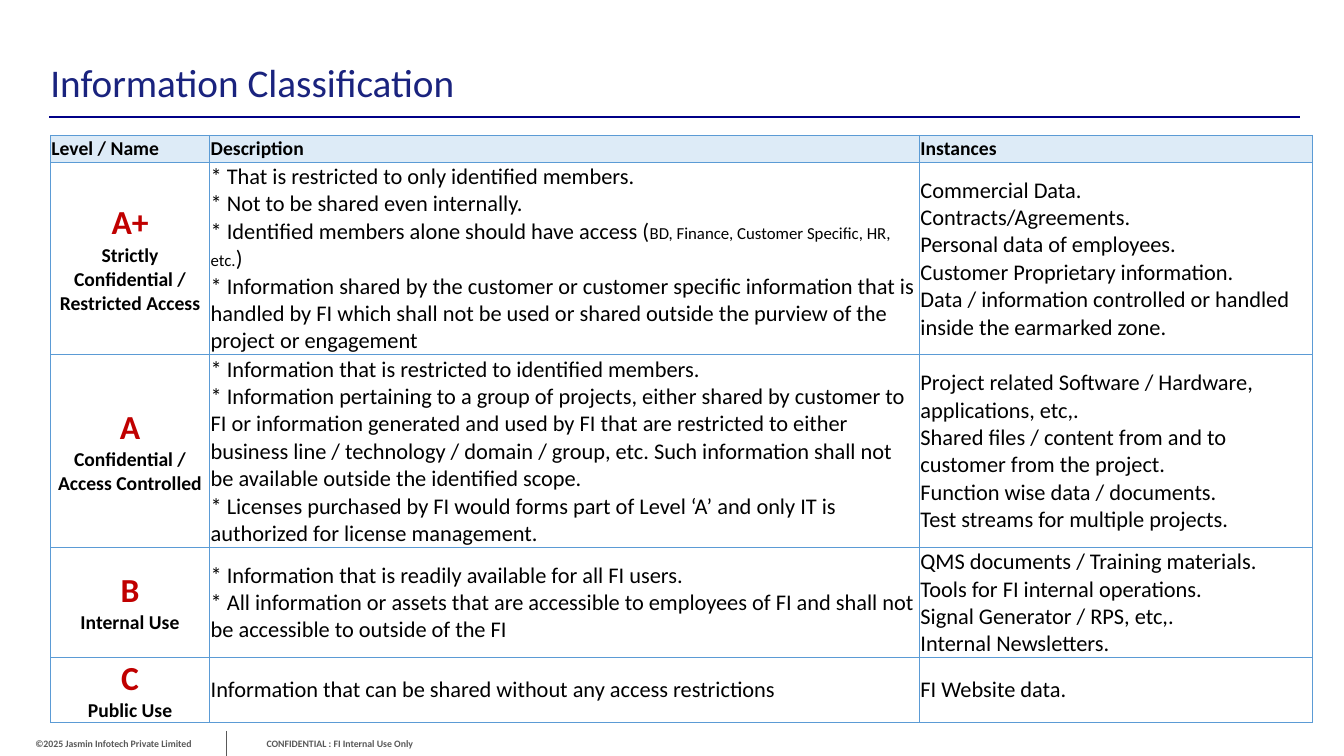
from lxml.etree import SubElement as sub
from pptx import Presentation
from pptx.dml.color import RGBColor
from pptx.enum.shapes import MSO_CONNECTOR as Conn
from pptx.enum.text import MSO_ANCHOR as Anchor, PP_ALIGN as Align
from pptx.oxml.ns import qn
from pptx.util import Pt

PX = 9144  # 100 px to the inch

BLACK = RGBColor(0x00, 0x00, 0x00)
RED = RGBColor(0xC0, 0x00, 0x00)
GREY = RGBColor(0x59, 0x59, 0x59)
NAVY = RGBColor(0x00, 0x00, 0x87)
INDIGO = RGBColor(0x1A, 0x23, 0x7E)
PALE = RGBColor(0xDD, 0xEB, 0xF7)
BLUE = RGBColor(0x5B, 0x9B, 0xD5)

# Text formats
TITLE = {"size": 28, "color": INDIGO}
FOOT = {"size": 7, "color": GREY, "bold": True}
HEAD = {"size": 14, "color": BLACK, "bold": True}
LEVEL = {"size": 24, "color": RED, "bold": True}
BODY = {"size": 16, "color": BLACK}
SMALL = {"size": 12, "color": BLACK}

# Table content
COLS = [158, 704, 390]
HEIGHTS = [27, 191, 191, 109, 55]
HEADS = ["Level / Name", "Description", "Instances"]
LEVELS = [
    ("A+", "Strictly Confidential / Restricted Access", [
        "* That is restricted to only identified members.",
        "* Not to be shared even internally.",
        [("* Identified members alone should have access (", BODY),
         ("BD, Finance, Customer Specific, HR, etc.", SMALL),
         (")", BODY)],
        "* Information shared by the customer or customer specific "
        "information that is handled by FI which shall not be used or shared "
        "outside the purview of the project or engagement",
    ], [
        "Commercial Data.",
        "Contracts/Agreements.",
        "Personal data of employees.",
        "Customer Proprietary information.",
        "Data / information controlled or handled inside the earmarked zone.",
    ]),
    ("A", "Confidential / Access Controlled", [
        "* Information that is restricted to identified members.",
        "* Information pertaining to a group of projects, either shared by "
        "customer to FI or information generated and used by FI that are "
        "restricted to either business line / technology / domain / group, "
        "etc. Such information shall not be available outside the identified "
        "scope.",
        "* Licenses purchased by FI would forms part of Level ‘A’ and only IT "
        "is authorized for license management.",
    ], [
        "Project related Software / Hardware, applications, etc,.",
        "Shared files / content from and to customer from the project.",
        "Function wise data / documents.",
        "Test streams for multiple projects.",
    ]),
    ("B", "Internal Use", [
        "* Information that is readily available for all FI users.",
        "* All information or assets that are accessible to employees of FI "
        "and shall not be accessible to outside of the FI",
    ], [
        "QMS documents / Training materials.",
        "Tools for FI internal operations.",
        "Signal Generator / RPS, etc,.",
        "Internal Newsletters.",
    ]),
    ("C", "Public Use",
     ["Information that can be shared without any access restrictions"],
     ["FI Website data."]),
]


def style(font, form):
    font.name = "Calibri"
    for key, val in form.items():
        if key == "color":
            font.color.rgb = val
        else:
            setattr(font, key, Pt(val) if key == "size" else val)


def write(frame, lines, align=Align.LEFT):
    """Write one paragraph per line; a line is a list of (text, format)."""
    for i, line in enumerate(lines):
        para = frame.add_paragraph() if i else frame.paragraphs[0]
        para.alignment = align
        for text, form in line:
            run = para.add_run()
            run.text = text
            style(run.font, form)


def add_text(slide, box, text, form, align=Align.LEFT, pad=(0, 0)):
    frame = slide.shapes.add_textbox(*[n * PX for n in box]).text_frame
    frame.word_wrap = True
    frame.vertical_anchor = Anchor.MIDDLE
    frame.margin_left = frame.margin_right = pad[0] * PX
    frame.margin_top = frame.margin_bottom = pad[1] * PX
    write(frame, [[(text, form)]], align)
    return frame


def add_line(slide, ends, color, width):
    line = slide.shapes.add_connector(Conn.STRAIGHT, *[n * PX for n in ends])
    line.line.color.rgb = color
    line.line.width = Pt(width)
    sub(line._element.spPr, qn("a:effectLst"))


def set_cell(cell, lines, align=Align.LEFT, fill=None):
    cell.vertical_anchor = Anchor.MIDDLE
    for side in ("left", "right", "top"):
        setattr(cell, "margin_" + side, PX)
    cell.margin_bottom = 0
    props = cell._tc.get_or_add_tcPr()
    for side in "LRTB":
        edge = sub(props, qn("a:ln" + side), w=str(Pt(0.5)))
        sub(sub(edge, qn("a:solidFill")), qn("a:srgbClr"), val=str(BLUE))
    if fill is None:
        cell.fill.background()
    else:
        cell.fill.solid()
        cell.fill.fore_color.rgb = fill
    write(cell.text_frame, lines, align)


def body(items):
    return [[(item, BODY)] if isinstance(item, str) else item
            for item in items]


def add_grid(slide):
    box = (50, 134, sum(COLS), sum(HEIGHTS))
    table = slide.shapes.add_table(len(HEIGHTS), len(COLS),
                                   *[n * PX for n in box]).table
    table.first_row = table.horz_banding = False
    for col, width in zip(table.columns, COLS):
        col.width = width * PX
    for row, height in zip(table.rows, HEIGHTS):
        row.height = height * PX
    for c, head in enumerate(HEADS):
        set_cell(table.cell(0, c), [[(head, HEAD)]], fill=PALE)
    for r, (mark, name, notes, cases) in enumerate(LEVELS, 1):
        set_cell(table.cell(r, 0), [[(mark, LEVEL)], [(name, HEAD)]],
                 Align.CENTER)
        set_cell(table.cell(r, 1), body(notes))
        set_cell(table.cell(r, 2), body(cases))


def main():
    deck = Presentation()
    deck.slide_width, deck.slide_height = 1333 * PX, 750 * PX
    slide = deck.slides.add_slide(deck.slide_layouts[6])

    # Footer
    add_text(slide, (208, 727, 258, 21), "CONFIDENTIAL : FI Internal Use Only",
             FOOT, Align.CENTER, (10, 5))
    add_text(slide, (0, 727, 225, 22), "©2025 Jasmin Infotech Private Limited",
             FOOT, Align.CENTER, (10, 5))
    add_line(slide, (225, 725, 225, 750), GREY, 0.75)

    # Title with its rule
    add_line(slide, (49, 116, 1289, 116), NAVY, 1.5)
    title = add_text(slide, (50, 58, 1200, 52), "Information Classification",
                     TITLE)
    title.paragraphs[0].line_spacing = 0.9

    # Classification table
    add_grid(slide)
    deck.save("out.pptx")


if __name__ == "__main__":
    main()
